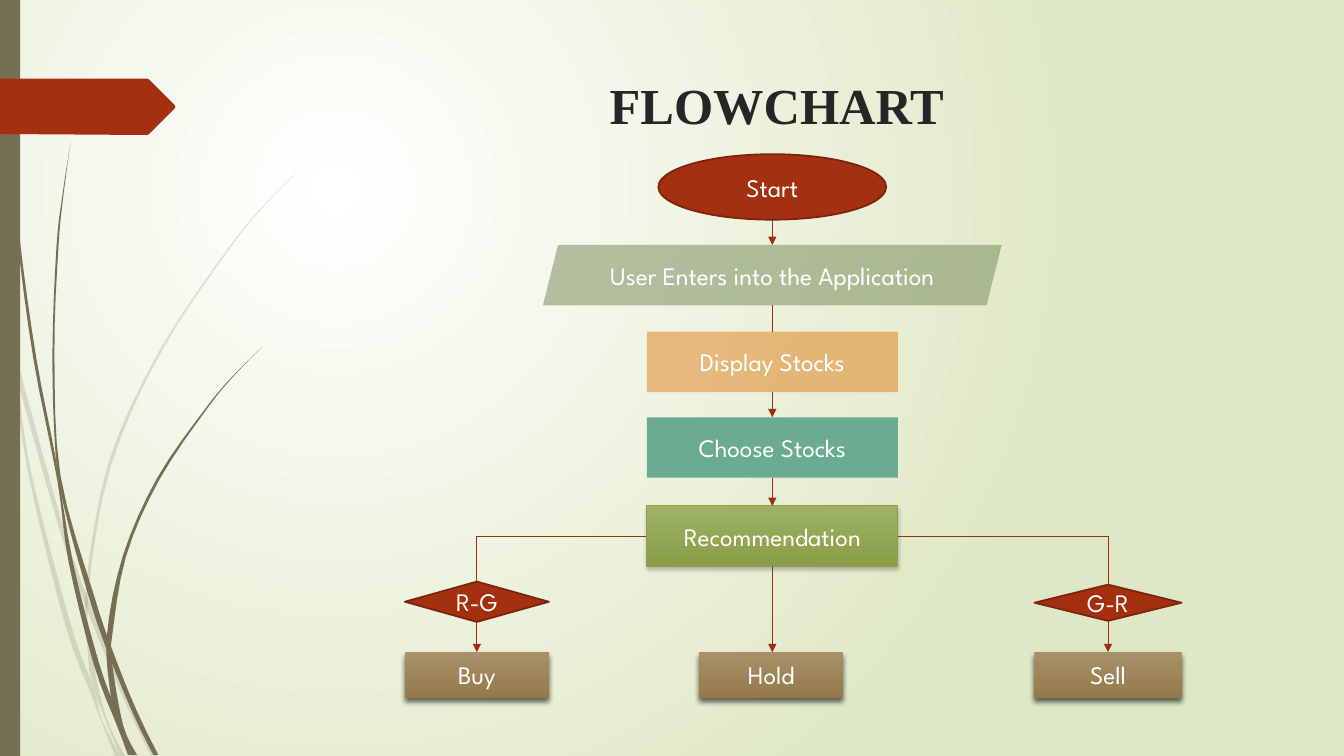
from collections import namedtuple

from lxml import etree
from pptx import Presentation
from pptx import util as u
from pptx.dml.color import RGBColor
from pptx.enum import shapes, text
from pptx.oxml.ns import qn

Box = namedtuple("Box", "left top width height")

COLORS = {
    "white": "FFFFFF", "pale": "DFE8C4", "olive": "766F54", "red": "A53010",
    "red_edge": "7A240C", "arrow": "9E2E0F", "title": "262626", "sage": "728653",
    "orange": "DE7E18", "teal": "6AAC91", "green": "9DB265", "green_dark": "889E47",
    "green_edge": "8BA249", "tan": "A89068", "tan_dark": "947A4B", "black": "000000",
}
TITLE_FONT = {"name": "Times New Roman", "size": u.Pt(36), "bold": True}
LABEL_FONT = {"name": "League Spartan", "size": u.Pt(18), "bold": False}
UNITS = 1000

PALE_STEMS = [
    ([(0, 2.99), (0.1, 3.44), (0.17, 3.76), (0.58, 5.22), (0.84, 5.99), (1.23, 6.94), (1.5, 7.5)],
     [(1.55, 7.5), (1.27, 6.92), (0.92, 6.07), (0.62, 5.2), (0.14, 3.45), (0, 2.82)]),
    ([(0.11, 3.5), (0.28, 4.7), (0.65, 6.21), (0.92, 6.93), (1.14, 7.5)],
     [(1.19, 7.5), (1.01, 7.14), (0.93, 6.83), (0.7, 6.19), (0.31, 4.69), (0.17, 3.76),
      (0.11, 3.5)]),
    ([(3.12, 1.53), (2.68, 1.97), (2.28, 2.44), (1.58, 3.48), (1.07, 4.61), (0.85, 5.84),
      (0.87, 6.46), (0.93, 6.83), (1.19, 7.5)],
     [(1.24, 7.5), (1.05, 7.11), (0.91, 6.46), (0.88, 5.84), (1.1, 4.62), (1.6, 3.49),
      (2.29, 2.45), (2.68, 1.98), (3.12, 1.53)]),
]
DARK_STEMS = [
    ([(0.03, 0), (0.07, 1.1), (0.17, 2.33), (0.33, 3.55), (0.57, 4.77), (0.68, 5.57),
      (0.93, 6.59), (1.17, 7.22), (1.27, 7.49)],
     [(1.33, 7.49), (1.16, 7.06), (0.98, 6.57), (0.72, 5.56), (0.55, 4.53), (0.36, 3.55),
      (0.19, 2.32), (0.08, 1.09), (0.04, 0)]),
    ([(0.7, 1.41), (0.62, 1.93), (0.56, 2.45), (0.52, 3.49), (0.55, 4.49), (0.64, 5.05),
      (0.88, 5.92), (1.06, 6.45), (1.32, 7.08), (1.52, 7.49)],
     [(1.57, 7.49), (1.36, 7.06), (1.13, 6.49), (0.93, 5.9), (0.6, 4.72), (0.54, 3.49),
      (0.58, 2.45), (0.63, 1.93), (0.7, 1.41)]),
    ([(2.6, 3.44), (2.31, 3.73), (2.04, 4.05), (1.56, 4.74), (1.22, 5.51), (1.06, 6.31),
      (1.1, 6.91), (1.17, 7.22), (1.31, 7.49)],
     [(1.36, 7.49), (1.22, 7.19), (1.11, 6.56), (1.11, 6.33), (1.25, 5.52), (1.58, 4.76),
      (2.05, 4.06), (2.31, 3.74), (2.6, 3.44)]),
]


def rgb(name):
    """Return the named colour."""
    return RGBColor.from_string(COLORS[name])


def apply(target, values):
    """Set every attribute in a dict of format values."""
    for name, value in values.items():
        setattr(target, name, value)


def paint(shape, fill, edge=None, opacity=100, shadow=None):
    """Give a shape its solid or two-colour fill, edge and shadow."""
    shape.shadow.inherit = False
    if isinstance(fill, tuple):
        shape.fill.gradient()
        shape.fill.gradient_angle = 270
        for stop, name in zip(shape.fill.gradient_stops, fill):
            stop.color.rgb = rgb(name)
    else:
        shape.fill.solid()
        shape.fill.fore_color.rgb = rgb(fill)
    properties = shape.element.spPr
    if opacity < 100:
        color = properties.find(qn("a:solidFill")).find(qn("a:srgbClr"))
        etree.SubElement(color, qn("a:alpha"), val=str(opacity * 1000))
    if edge:
        name, width = edge
        shape.line.color.rgb = rgb(name)
        shape.line.width = u.Pt(width)
    else:
        shape.line.fill.background()
    if shadow:
        alpha, blur, distance = shadow
        outer = etree.SubElement(
            properties.find(qn("a:effectLst")), qn("a:outerShdw"), blurRad=str(u.Pt(blur)),
            dist=str(u.Pt(distance)), dir="5400000", algn="ctr", rotWithShape="0")
        color = etree.SubElement(outer, qn("a:srgbClr"), val=COLORS["black"])
        etree.SubElement(color, qn("a:alpha"), val=str(alpha * 1000))


def write(shape, words, font, color, anchor):
    """Write one centred line of text in a shape."""
    apply(shape.text_frame, {"word_wrap": True, "vertical_anchor": anchor})
    paragraph = shape.text_frame.paragraphs[0]
    paragraph.alignment = text.PP_ALIGN.CENTER
    run = paragraph.add_run()
    run.text = words
    apply(run.font, font)
    run.font.color.rgb = rgb(color)


def smooth(points, steps=4):
    """Return points along a smooth curve through the given points."""
    padded = [points[0], *points, points[-1]]
    curve = [points[0]]
    for a, b, c, d in zip(padded, padded[1:], padded[2:], padded[3:]):
        for t in (step / steps for step in range(1, steps + 1)):
            curve.append(tuple(
                q + t * (r - p) / 2 + t**2 * (2*p - 5*q + 4*r - s) / 2
                + t**3 * (3*q - p - 3*r + s) / 2
                for p, q, r, s in zip(a, b, c, d)))
    return curve


def add_outline(slide, box, points, opacity=100, fill="olive"):
    """Draw a closed outline whose points are relative to the box."""
    placed = [(UNITS * (box.left + x), UNITS * (box.top + y)) for x, y in points]
    builder = slide.shapes.build_freeform(*placed[0], scale=u.Inches(1) / UNITS)
    builder.add_line_segments(placed[1:], close=True)
    paint(builder.convert_to_shape(), fill, opacity=opacity)


def add_background(slide):
    """Fill the slide with a glow centred in its upper left quarter."""
    fill = slide.background.fill
    fill.gradient()
    for stop, name in zip(fill.gradient_stops, ("white", "pale")):
        stop.color.rgb = rgb(name)
    linear = next(slide.element.iter(qn("a:lin")))
    circle = etree.Element(qn("a:path"), path="circle")
    etree.SubElement(circle, qn("a:fillToRect"), l="50000", t="50000", r="100000", b="100000")
    linear.getparent().replace(linear, circle)


def add_decoration(slide, box):
    """Draw the grass stems, the side bar and the red tag."""
    for stems, opacity in ((PALE_STEMS, 20), (DARK_STEMS, 100)):
        for near, far in stems:
            add_outline(slide, box, smooth(near) + smooth(far), opacity)
    bar = slide.shapes.add_shape(
        shapes.MSO_SHAPE.RECTANGLE,
        *map(u.Inches, (box.left, box.top, 0.2, box.height)))
    paint(bar, "olive")
    tag = [(0, 0.78), (1.46, 0.78), (1.48, 0.79), (1.73, 1.04), (1.74, 1.06),
           (1.73, 1.08), (1.48, 1.33), (1.46, 1.34), (0, 1.33)]
    add_outline(slide, box, tag, fill="red")


def add_title(slide, box):
    """Write the slide title."""
    title = slide.shapes.add_textbox(*map(u.Inches, box))
    write(title, "FLOWCHART", TITLE_FONT, "title", text.MSO_ANCHOR.TOP)


def add_node(slide, kind, words, center, top, width, height, **look):
    """Draw one labelled flowchart node around a vertical axis."""
    shape = slide.shapes.add_shape(
        kind, *map(u.Inches, (center - width / 2, top, width, height)))
    paint(shape, **look)
    write(shape, words, LABEL_FONT, "white", text.MSO_ANCHOR.MIDDLE)


def add_link(slide, start, end, arrow=True):
    """Draw a thin line between two points, with an optional arrowhead."""
    link = slide.shapes.add_connector(
        shapes.MSO_CONNECTOR.STRAIGHT, *map(u.Inches, (*start, *end)))
    link.line.color.rgb = rgb("arrow")
    link.line.width = u.Pt(0.75)
    properties = link.element.spPr
    if arrow:
        etree.SubElement(properties.find(qn("a:ln")), qn("a:tailEnd"), type="triangle")
    etree.SubElement(properties, qn("a:effectLst"))


def add_flowchart(slide, box):
    """Draw the steps down the middle and the three outcomes below."""
    kinds = shapes.MSO_SHAPE
    axis = box.left + 3.65
    red = {"fill": "red", "edge": ("red_edge", 1.25)}
    green = {"fill": ("green", "green_dark"), "edge": ("green_edge", 0.75), "shadow": (25, 3, 2)}
    tan = {"fill": ("tan", "tan_dark"), "shadow": (60, 4, 3)}
    steps = [
        (kinds.OVAL, "Start", 0, 2.26, 0.65, red),
        (kinds.PARALLELOGRAM, "User Enters into the Application", 0.9, 4.55, 0.6,
         {"fill": "sage", "opacity": 50}),
        (kinds.RECTANGLE, "Display Stocks", 1.76, 2.49, 0.6, {"fill": "orange", "opacity": 50}),
        (kinds.RECTANGLE, "Choose Stocks", 2.61, 2.49, 0.6, {"fill": "teal"}),
        (kinds.RECTANGLE, "Recommendation", 3.49, 2.49, 0.6, green),
    ]
    for kind, words, top, width, height, look in steps:
        add_node(slide, kind, words, axis, box.top + top, width, height, **look)
    for upper, lower in zip(steps, steps[1:]):
        add_link(slide, (axis, box.top + upper[2] + upper[4]), (axis, box.top + lower[2]),
                 arrow=lower[1] != "Display Stocks")

    outcome_top, fork = box.top + 4.94, box.top + 3.79
    add_link(slide, (axis, fork + 0.3), (axis, outcome_top))
    outcomes = [("Buy", 0.72, 1.43), ("Hold", 3.64, 1.43), ("Sell", 6.98, 1.46)]
    for words, offset, width in outcomes:
        add_node(slide, kinds.RECTANGLE, words, box.left + offset, outcome_top, width, 0.45, **tan)
    signals = [("R-G", -1, 0.72, 4.24, 1.43, 0.4), ("G-R", 1, 6.98, 4.27, 1.46, 0.36)]
    for words, side, offset, top, width, height in signals:
        center, top = box.left + offset, box.top + top
        add_node(slide, kinds.FLOWCHART_DECISION, words, center, top, width, height, **red)
        add_link(slide, (axis + side * 1.25, fork), (center, fork), arrow=False)
        add_link(slide, (center, fork), (center, top), arrow=False)
        add_link(slide, (center, top + height), (center, outcome_top))


def main():
    """Build and save the flowchart slide."""
    presentation = Presentation()
    apply(presentation, {"slide_width": u.Inches(13.33), "slide_height": u.Inches(7.5)})
    slide = presentation.slides.add_slide(presentation.slide_layouts[6])
    add_background(slide)
    add_decoration(slide, Box(0, 0, 3.12, 7.5))
    add_title(slide, Box(2.83, 0.69, 9.75, 1.4))
    add_flowchart(slide, Box(4.01, 1.53, 7.7, 5.38))
    presentation.save("out.pptx")


if __name__ == "__main__":
    main()
